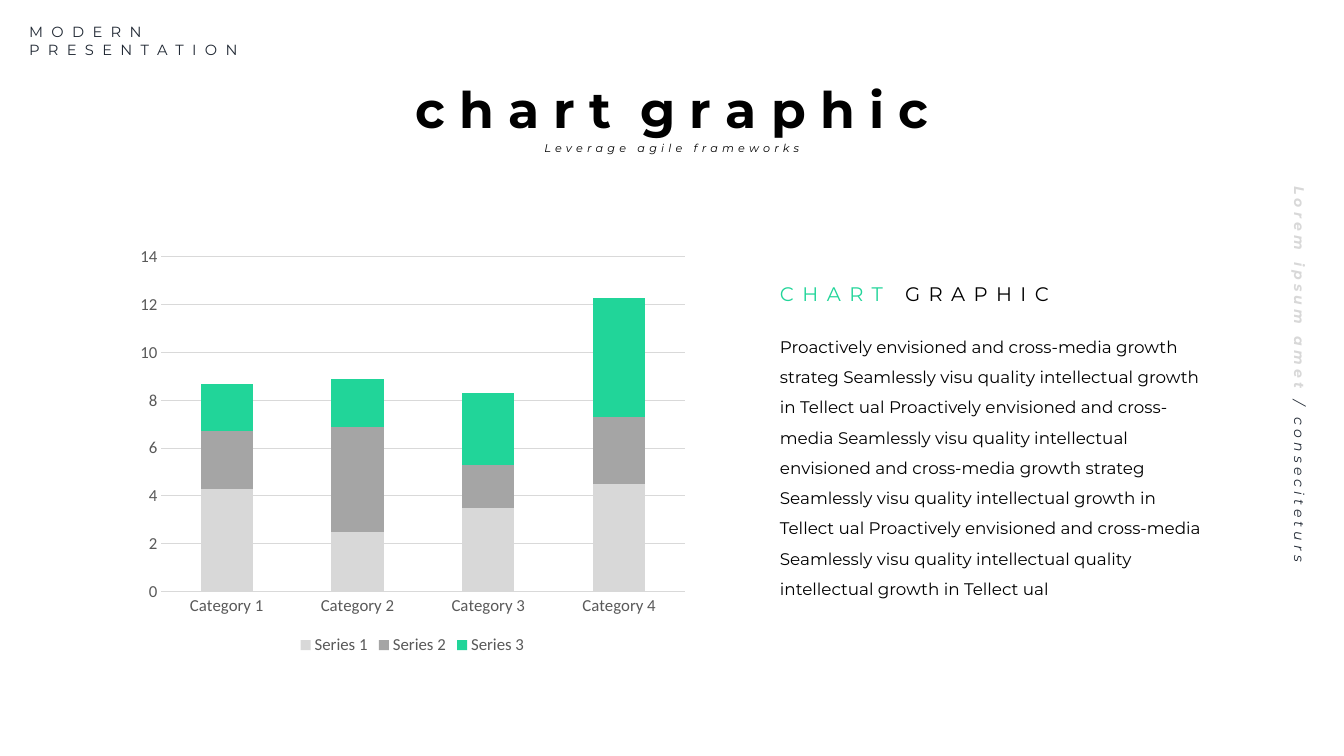
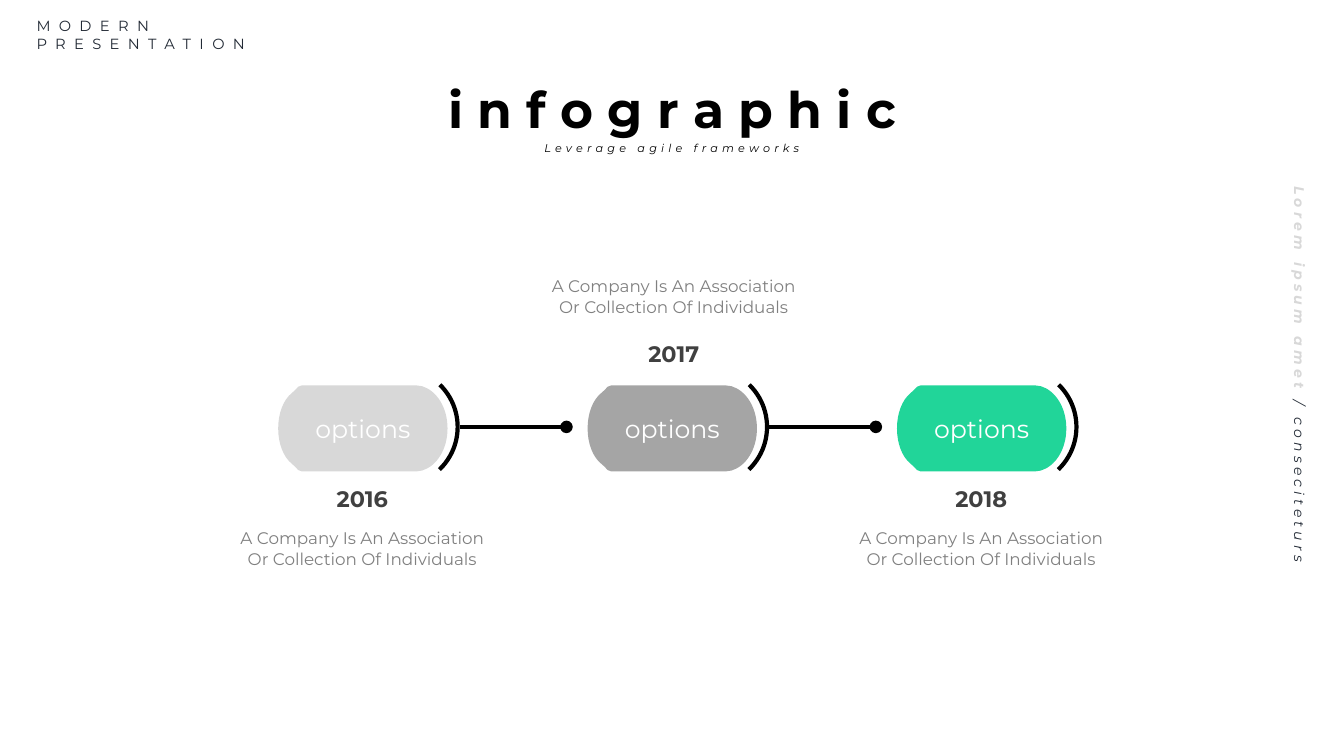
"""Build a chart slide and an infographic slide in one shared style."""
from lxml import etree
from pptx import Presentation
from pptx import util as u
from pptx.chart.data import CategoryChartData
from pptx.dml.color import RGBColor
from pptx.enum import chart as ch, shapes, text
from pptx.oxml.ns import qn


def hue(code):
    """Turn a hex string into a colour."""
    return RGBColor.from_string(code)


def write(box, spot, paras, side="LEFT", lead=1.0, pad=0, wrap=True, **base):
    """Place a shape on the grid and fill it with formatted runs."""
    frame = box.text_frame
    look = {"word_wrap": wrap, "margin_left": u.Inches(2 * pad),
            "margin_right": u.Inches(2 * pad), "margin_top": u.Inches(pad),
            "margin_bottom": u.Inches(pad), "vertical_anchor": text.MSO_ANCHOR.MIDDLE}
    if spot:
        box.left, box.top = int(spot[0] * col), int(spot[1] * row)
        box.width, box.height = int(spot[2] * col), int(spot[3] * row)
        look["vertical_anchor"] = text.MSO_ANCHOR.TOP
        look["auto_size"] = text.MSO_AUTO_SIZE.SHAPE_TO_FIT_TEXT
    for key, val in look.items():
        setattr(frame, key, val)
    for i, runs in enumerate(paras):
        para = frame.add_paragraph() if i else frame.paragraphs[0]
        para.alignment = text.PP_ALIGN[side]
        para.line_spacing = lead
        para.space_before = u.Pt(0)
        for words, extra in runs:
            run = para.add_run()
            run.text = words
            for key, val in {"name": "Montserrat", **base, **extra}.items():
                if key == "tint":
                    run.font.color.rgb = hue(val)
                elif key == "track":
                    run._r.get_or_add_rPr().set("spc", str(int(val * 100)))
                else:
                    setattr(run.font, key, u.Pt(val) if key == "size" else val)


deck = Presentation()
deck.slide_width, deck.slide_height = u.Inches(40 / 3), u.Inches(7.5)
col, row = deck.slide_width / 100, deck.slide_height / 100

black, navy, white = "000000", "222A35", "FFFFFF"
tones = ["D8D8D8", "A5A5A5", "21D599"]
pale, mid, green = tones

pages = [
    (1, 2.17, 3.07, "c h a r t  g r a p h i c"),
    (5, 2.72, 2.27, "i n f o g r a p h i c"),
]
for kind, left, top, title in pages:
    slide = deck.slides.add_slide(deck.slide_layouts[kind])
    add = slide.shapes.add_textbox
    write(slide.shapes.title, (25.8, 9.7, 48.4, 9.43), [[(title, {})]], "CENTER",
          pad=0.05, size=36, bold=True, tint=black)
    write(add(0, 0, 0, 0), (left, top, 21.5, 4.7),
          [[("MODERN", {})], [("PRESENTATION", {})]], size=10.5, tint=navy, track=6)
    write(add(0, 0, 0, 0), (36.5, 17.8, 27, 2.4), [[("Leverage agile frameworks", {})]],
          "CENTER", 1.5, size=8, italic=True, tint=black, track=3)
    edge = add(0, 0, 0, 0)
    write(edge, (69.93, 48.13, 53.7, 3.73),
          [[("Lorem ipsum amet ", {"bold": True, "tint": pale}),
            ("/ conseciteturs ", {"bold": False, "tint": navy})]],
          "CENTER", 1.1, pad=0.05, size=10, italic=True, track=3)
    edge.rotation = 90

first, last = deck.slides

write(first.shapes.add_textbox(0, 0, 0, 0), (58.03, 35.73, 27.8, 4.13),
      [[("CHART ", {"tint": green}), ("GRAPHIC", {"tint": black})]],
      lead=1.5, size=14, track=6)
body = first.placeholders[1]
story = (
    "Proactively envisioned and cross-media growth strateg Seamlessly visu quality "
    "intellectual growth in Tellect ual Proactively envisioned and cross-media "
    "Seamlessly visu quality intellectual envisioned and cross-media growth strateg "
    "Seamlessly visu quality intellectual growth in Tellect ual Proactively envisioned "
    "and cross-media Seamlessly visu quality intellectual quality intellectual growth "
    "in Tellect ual")
write(body, (58.03, 43.2, 31.5, 35.87), [[(story, {})]], lead=1.5, size=12, tint=black)
props = body.text_frame.paragraphs[0]._p.get_or_add_pPr()
props.set("marL", "0")
props.set("indent", "0")
etree.SubElement(props, qn("a:buNone"))

data = CategoryChartData()
data.categories = [f"Category {n}" for n in range(1, 5)]
rows = [(4.3, 2.5, 3.5, 4.5), (2.4, 4.4, 1.8, 2.8), (2, 2, 3, 5)]
for n, vals in enumerate(rows, 1):
    data.add_series(f"Series {n}", vals)
chart = first.shapes.add_chart(
    ch.XL_CHART_TYPE.COLUMN_STACKED, int(9.6 * col), int(31.55 * row),
    int(42.18 * col), int(55.65 * row), data).chart
chart.has_title = False
chart.has_legend = True
chart.legend.position = ch.XL_LEGEND_POSITION.BOTTOM
chart.legend.include_in_layout = False
chart.font.name, chart.font.size = "Calibri", u.Pt(12)
chart.font.color.rgb = hue("595959")
plot = chart.plots[0]
plot.gap_width, plot.overlap, plot.vary_by_categories = 150, 100, False
for bar, tone in zip(plot.series, tones):
    bar.format.fill.solid()
    bar.format.fill.fore_color.rgb = hue(tone)
cats, scale = chart.category_axis, chart.value_axis
for axis in (cats, scale):
    axis.major_tick_mark = axis.minor_tick_mark = ch.XL_TICK_MARK.NONE
for key, val in {"minimum_scale": 0, "maximum_scale": 14, "major_unit": 2,
                 "has_major_gridlines": True}.items():
    setattr(scale, key, val)
scale.format.line.fill.background()
for line in (cats.format.line, scale.major_gridlines.format.line):
    line.color.rgb, line.width = hue("D9D9D9"), u.Pt(0.75)

start = (14, 0)
steps = [
    [(81.5, 0)], [(85, 2)],
    [(93.5, 12), (100, 51), (100, 100)], [(100, 149), (93.5, 188), (85, 198)],
    [(81.5, 200)], [(14, 200)],
    [(12.5, 200), (11, 195), (10, 189)], [(8, 182)],
    [(3, 166), (0, 135), (0, 100)], [(0, 65), (3, 34), (8, 18)],
    [(10, 11)], [(11, 5), (12.5, 0), (14, 0)],
]

note = "A Company Is An Association Or Collection Of Individuals"
spots = [(26.96, 63.47, 69.2), (50.13, 44.27, 35.87), (73.01, 63.47, 69.2)]
for i, (tone, (axis, year, tale)) in enumerate(zip(tones, spots)):
    hub = 27 + 23.02 * i
    strokes = []
    if i < 2:
        link = last.shapes.add_connector(
            shapes.MSO_CONNECTOR.STRAIGHT, int((hub + 7.2) * col), int(56.47 * row),
            int((hub + 15.15) * col), int(56.47 * row))
        strokes.append(link)
    arc = last.shapes.add_shape(
        shapes.MSO_SHAPE.ARC, int((hub - 1.72) * col), int(48.67 * row),
        int(8.78 * col), int(15.6 * row))
    arc.rotation = 270
    arc.adjustments[0], arc.adjustments[1] = 26.57, 81.76
    arc.fill.background()
    arc.shadow.inherit = False
    strokes.append(arc)
    for item in strokes:
        item.line.color.rgb, item.line.width = hue(black), u.Pt(3)
    if i < 2:
        etree.SubElement(link.line._get_or_add_ln(), qn("a:tailEnd"), type="oval")
        etree.SubElement(link._element.spPr, qn("a:effectLst"))

    pen = last.shapes.build_freeform(
        start[0] * 100, start[1], scale=(12.6 * col / 10000, 5.69 * row / 10000))
    pen.add_line_segments([(s[-1][0] * 100, s[-1][1] * 100) for s in steps], close=True)
    pill = pen.convert_to_shape(int((hub - 6.3) * col), int(50.98 * row))
    edges = list(pill._element.iter(qn("a:lnTo")))
    for old, pts in zip(edges, steps):
        if len(pts) == 3:
            curve = etree.Element(qn("a:cubicBezTo"))
            for x, y in pts:
                etree.SubElement(curve, qn("a:pt"), x=str(int(x * 100)), y=str(y * 100))
            old.getparent().replace(old, curve)
    pill.shadow.inherit = False
    pill.fill.solid()
    pill.fill.fore_color.rgb = hue(tone)
    pill.line.fill.background()
    write(pill, None, [[("options", {})]], "CENTER", size=18, tint=white)

    write(last.shapes.add_textbox(0, 0, 0, 0), (axis - 2.73, year, 5.46, 4.93),
          [[(str(2016 + i), {})]], "CENTER", pad=0.05, wrap=False,
          size=16, bold=True, tint="404040")
    write(last.shapes.add_textbox(0, 0, 0, 0), (axis - 10.31, tale, 20.62, 6.67),
          [[(note, {})]], "CENTER", pad=0.05, size=12, tint="808080")

deck.save("out.pptx")
